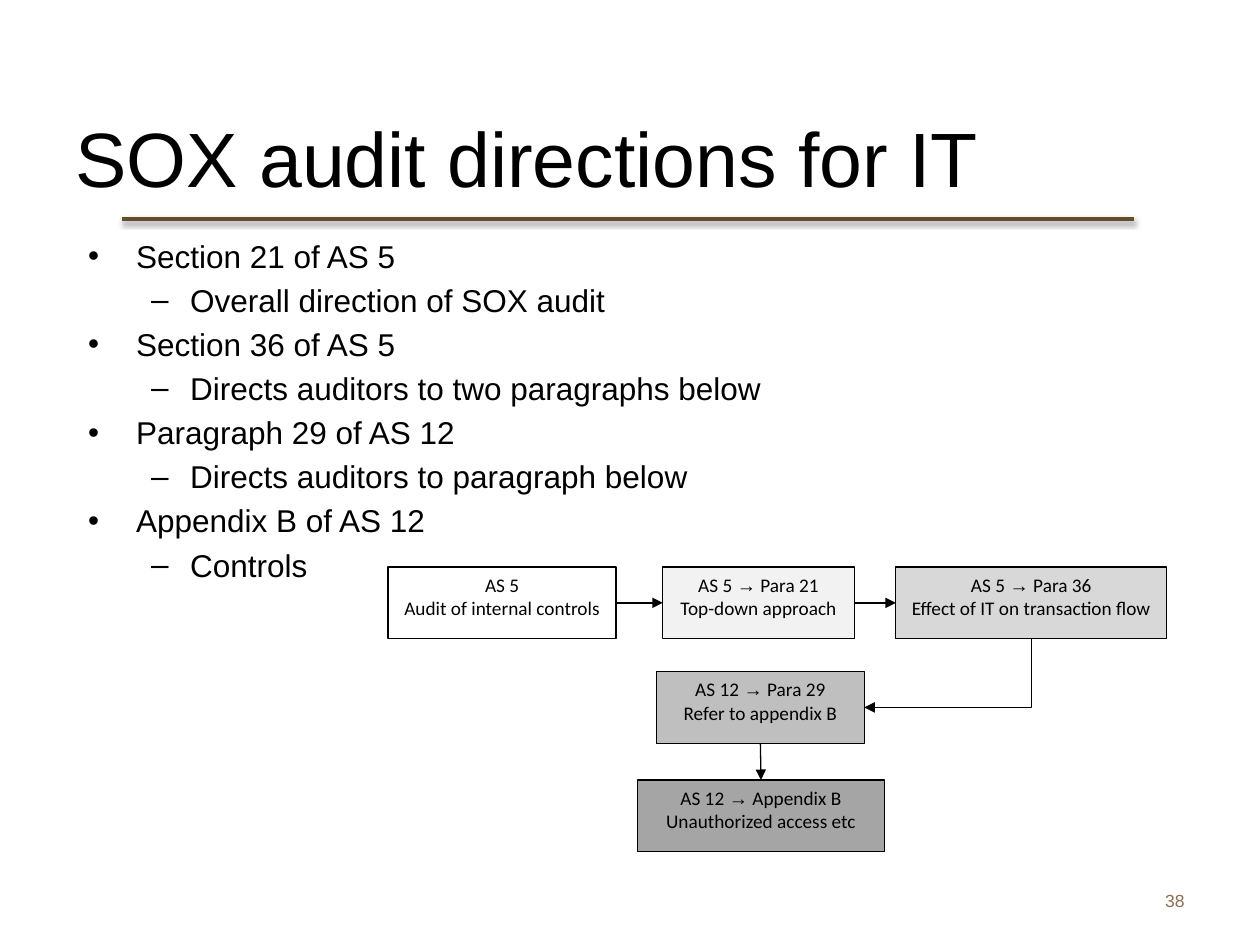
from dataclasses import dataclass

from lxml import etree
from pptx import Presentation
from pptx.dml.color import RGBColor
from pptx.enum.shapes import MSO_CONNECTOR, MSO_SHAPE
from pptx.enum.text import MSO_ANCHOR, MSO_AUTO_SIZE, PP_ALIGN
from pptx.oxml import parse_xml
from pptx.oxml.ns import nsdecls, qn
from pptx.util import Emu, Inches, Pt

RECT = MSO_SHAPE.RECTANGLE
STRAIGHT, ELBOW = MSO_CONNECTOR.STRAIGHT, MSO_CONNECTOR.ELBOW
LEFT, CENTER, RIGHT = PP_ALIGN.LEFT, PP_ALIGN.CENTER, PP_ALIGN.RIGHT
TOP, MIDDLE = MSO_ANCHOR.TOP, MSO_ANCHOR.MIDDLE
SIDE_TOP, SIDE_LEFT, SIDE_BOTTOM, SIDE_RIGHT = range(4)

GRID = Inches(0.1)  # the slide is 100 columns by 75 rows
COLS, ROWS = 100, 75


@dataclass(frozen=True)
class Theme:
    font: str = "Arial"
    box_font: str = "Calibri"
    title: float = 44
    body: float = 18
    box: float = 11
    number: float = 10
    ink: str = "000000"
    rule: str = "634D2A"
    muted: str = "8F6F52"
    rule_width: float = 2
    line_width: float = 0.75


@dataclass(frozen=True)
class Step:
    col: float
    row: float
    cols: float
    fill: str
    lines: tuple[str, str]


@dataclass(frozen=True)
class Link:
    start: int
    start_side: int
    end: int
    end_side: int
    kind: int = STRAIGHT


THEME = Theme()
BOX_ROWS = 5.7
ROW_1, ROW_2, ROW_3 = 45, 53.3, 61.9

STEPS = (
    Step(30.8, ROW_1, 18.1, "FFFFFF", ("AS 5", "Audit of internal controls")),
    Step(52.6, ROW_1, 15.2, "F2F2F2", ("AS 5 → Para 21", "Top-down approach")),
    Step(71.1, ROW_1, 21.5, "D8D8D8",
         ("AS 5 → Para 36", "Effect of IT on transaction flow")),
    Step(52.1, ROW_2, 16.5, "BFBFBF", ("AS 12 → Para 29", "Refer to appendix B")),
    Step(50.6, ROW_3, 19.6, "A5A5A5",
         ("AS 12 → Appendix B", "Unauthorized access etc")),
)
LINKS = (
    Link(0, SIDE_RIGHT, 1, SIDE_LEFT),
    Link(1, SIDE_RIGHT, 2, SIDE_LEFT),
    Link(2, SIDE_BOTTOM, 3, SIDE_RIGHT, ELBOW),
    Link(3, SIDE_BOTTOM, 4, SIDE_TOP),
)
OUTLINE = (
    ("Section 21 of AS 5", "Overall direction of SOX audit"),
    ("Section 36 of AS 5", "Directs auditors to two paragraphs below"),
    ("Paragraph 29 of AS 12", "Directs auditors to paragraph below"),
    ("Appendix B of AS 12", "Controls"),
)
# level: (bullet, left margin, hanging indent), in columns
BULLETS = (("•", 3.8, 3.8), ("–", 8.1, 3.1))


def grid(units: float) -> Emu:
    return Emu(round(units * GRID))


def place(sp, col: float, row: float, cols: float, rows: float) -> None:
    for name, units in dict(left=col, top=row, width=cols, height=rows).items():
        setattr(sp, name, grid(units))


def format_font(font, size: float, color: str, name: str = THEME.font) -> None:
    for key, value in dict(size=Pt(size), name=name, bold=False).items():
        setattr(font, key, value)
    font.color.rgb = RGBColor.from_string(color)


def format_frame(tf, anchor, wrap: bool = True) -> None:
    values = dict(vertical_anchor=anchor, word_wrap=wrap,
                  auto_size=MSO_AUTO_SIZE.NONE)
    for key, value in values.items():
        setattr(tf, key, value)


def write_line(p, text: str, size: float, color: str, align) -> None:
    p.alignment = align
    r = p.add_run()
    r.text = text
    format_font(r.font, size, color)


def fill_title(sp) -> None:
    place(sp, 5, 8.2, 83.3, 8.5)
    format_frame(sp.text_frame, MIDDLE)
    write_line(sp.text_frame.paragraphs[0], "SOX audit directions for IT",
               THEME.title, THEME.ink, LEFT)


def fill_body(sp) -> None:
    place(sp, 6, 18.3, 86.5, 33.3)
    tf = sp.text_frame
    format_frame(tf, TOP)
    items = [(level, text) for pair in OUTLINE for level, text in enumerate(pair)]
    for i, (level, text) in enumerate(items):
        p = tf.add_paragraph() if i else tf.paragraphs[0]
        bullet, margin, hang = BULLETS[level]
        p.level = level
        p.space_before = Pt(0.2 * THEME.body if i else 0)
        pPr = p._p.get_or_add_pPr()
        pPr.set("marL", str(grid(margin)))
        pPr.set("indent", str(-grid(hang)))
        etree.SubElement(pPr, qn("a:buChar")).set("char", bullet)
        write_line(p, text, THEME.body, THEME.ink, LEFT)


def format_line(cxn, color: str, width: float) -> None:
    cxn.line.color.rgb = RGBColor.from_string(color)
    cxn.line.width = Pt(width)


def add_title_rule(s) -> None:
    cxn = s.shapes.add_connector(STRAIGHT, grid(9.7), grid(17.4),
                                 grid(90), grid(17.4))
    format_line(cxn, THEME.rule, THEME.rule_width)
    cxn._element.spPr.append(parse_xml(
        f'<a:effectLst {nsdecls("a")}>'
        f'<a:outerShdw blurRad="{Pt(3.1)}" dist="{Pt(1.6)}" dir="5400000"'
        f' rotWithShape="0"><a:srgbClr val="{THEME.ink}">'
        '<a:alpha val="38000"/></a:srgbClr></a:outerShdw></a:effectLst>'))


def add_step(s, step: Step):
    sp = s.shapes.add_shape(RECT, grid(step.col), grid(step.row),
                            grid(step.cols), grid(BOX_ROWS))
    sp.shadow.inherit = False
    sp.fill.solid()
    sp.fill.fore_color.rgb = RGBColor.from_string(step.fill)
    format_line(sp, THEME.ink, THEME.line_width)
    tf = sp.text_frame
    format_frame(tf, TOP, wrap=False)
    for i, line in enumerate(step.lines):
        p = tf.add_paragraph() if i else tf.paragraphs[0]
        p.alignment = CENTER
        for part in filter(None, line.partition("→")):
            r = p.add_run()
            r.text = part
            name = THEME.font if part == "→" else THEME.box_font
            format_font(r.font, THEME.box, THEME.ink, name)
    return sp


def turn_down_then_left(cxn) -> None:
    """Make an elbow with one corner, by a quarter turn about its centre."""
    left, top, width, height = cxn.left, cxn.top, cxn.width, cxn.height
    cxn.left = left + (width - height) // 2
    cxn.top = top + (height - width) // 2
    cxn.width, cxn.height = height, width
    spPr = cxn._element.spPr
    spPr.find(qn("a:prstGeom")).set("prst", "bentConnector2")
    xfrm = spPr.find(qn("a:xfrm"))
    xfrm.attrib.pop("flipH", None)
    xfrm.set("rot", "5400000")


def add_link(s, link: Link, boxes: list) -> None:
    cxn = s.shapes.add_connector(link.kind, 0, 0, 0, 0)
    cxn.begin_connect(boxes[link.start], link.start_side)
    cxn.end_connect(boxes[link.end], link.end_side)
    if link.kind == ELBOW:
        turn_down_then_left(cxn)
    format_line(cxn, THEME.ink, THEME.line_width)
    etree.SubElement(cxn.line._get_or_add_ln(), qn("a:tailEnd")).set("type", "triangle")
    etree.SubElement(cxn._element.spPr, qn("a:effectLst"))


def add_slide_number(s) -> None:
    sp = s.shapes.add_textbox(grid(71.7), grid(69.5), grid(23.3), grid(4))
    format_frame(sp.text_frame, MIDDLE)
    write_line(sp.text_frame.paragraphs[0], "38", THEME.number, THEME.muted, RIGHT)


def main() -> None:
    prs = Presentation()
    prs.slide_width, prs.slide_height = grid(COLS), grid(ROWS)
    s = prs.slides.add_slide(prs.slide_layouts[1])
    add_title_rule(s)
    add_slide_number(s)
    fill_title(s.shapes.title)
    fill_body(s.placeholders[1])
    boxes = [add_step(s, step) for step in STEPS]
    for link in LINKS:
        add_link(s, link, boxes)
    prs.save("out.pptx")


if __name__ == "__main__":
    main()
